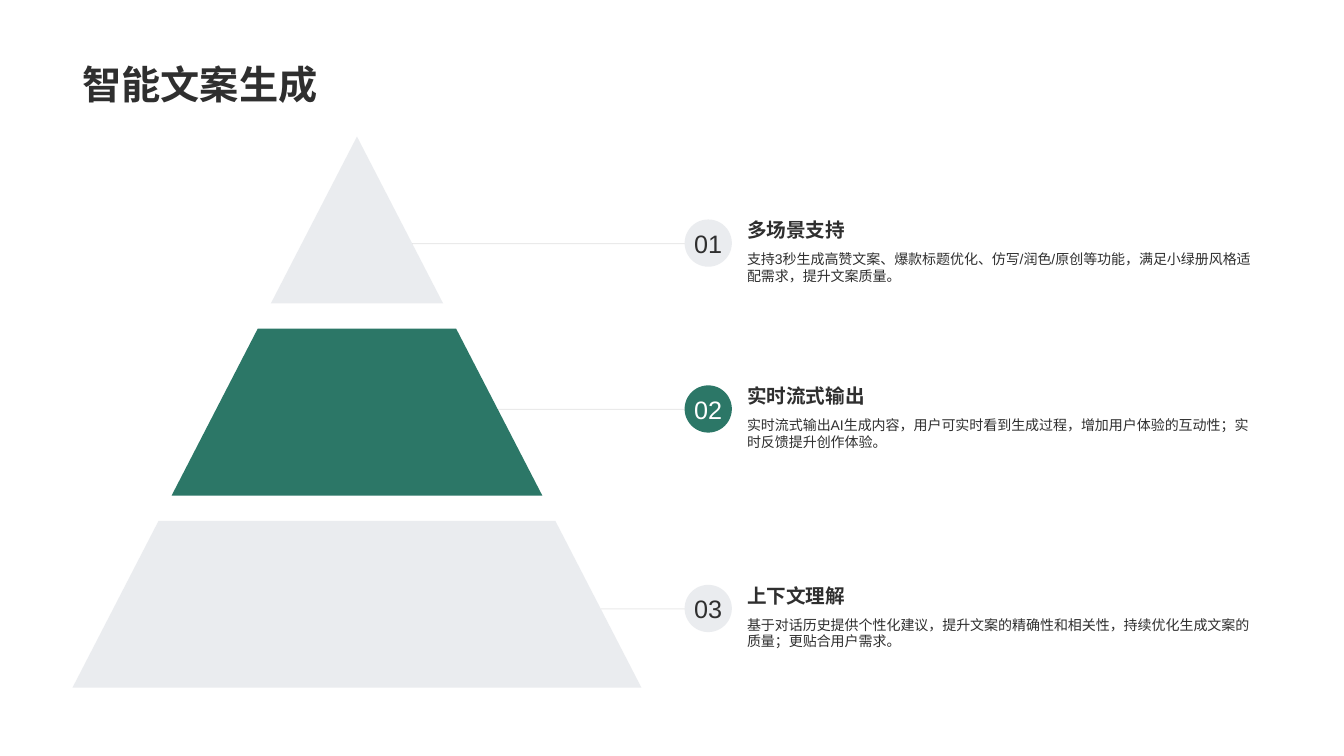
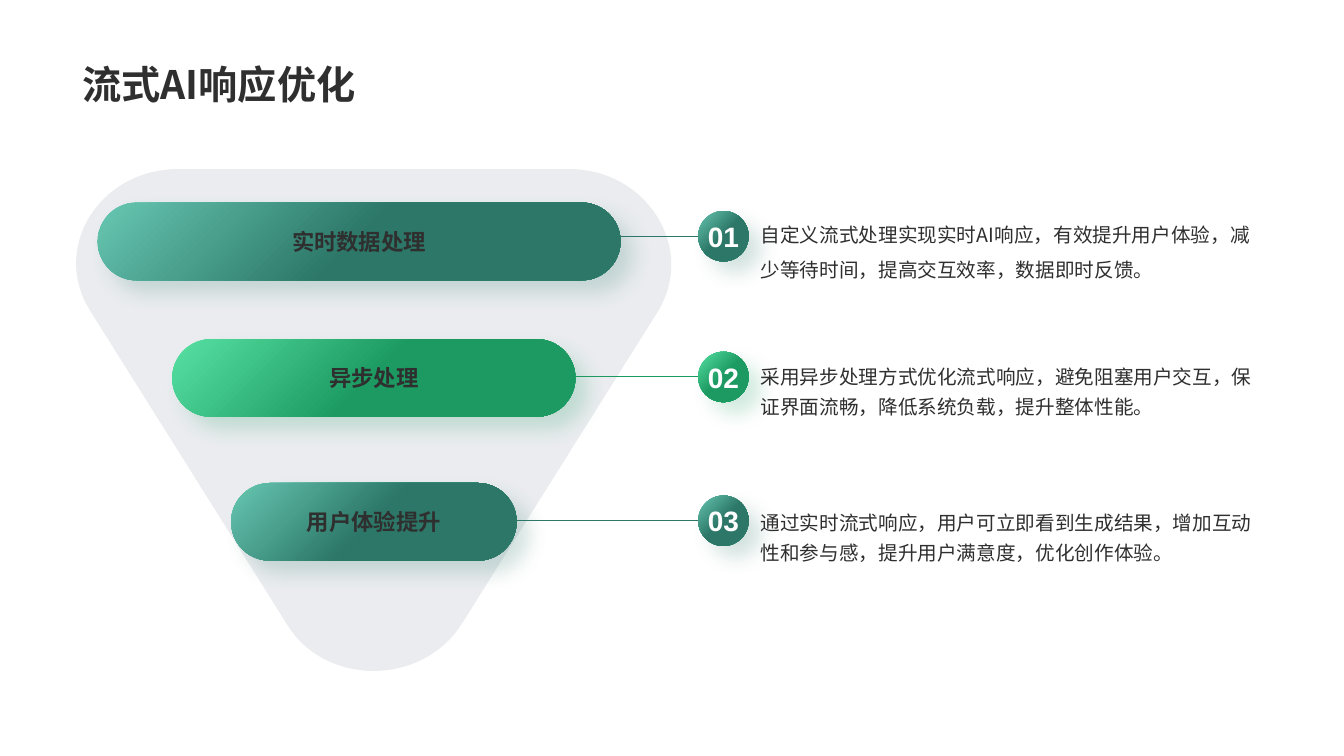
from lxml import etree
from pptx import Presentation
from pptx.dml.color import RGBColor
from pptx.enum.shapes import MSO_CONNECTOR, MSO_SHAPE
from pptx.enum.text import MSO_ANCHOR, MSO_AUTO_SIZE, PP_ALIGN
from pptx.oxml.ns import qn
from pptx.util import Emu, Pt

PX = 9525
STRAIGHT = MSO_CONNECTOR.STRAIGHT
OVAL, PILL = MSO_SHAPE.OVAL, MSO_SHAPE.ROUNDED_RECTANGLE
MIDDLE, BOTTOM = MSO_ANCHOR.MIDDLE, MSO_ANCHOR.BOTTOM
LEFT, CENTER = PP_ALIGN.LEFT, PP_ALIGN.CENTER
NO_FIT, GROW = MSO_AUTO_SIZE.NONE, MSO_AUTO_SIZE.SHAPE_TO_FIT_TEXT
CJK_FONT, LATIN_FONT = "Noto Sans CJK SC", "Arial"
COLORS = {
    "ink": "2F2F2F",
    "white": "FFFFFF",
    "mist": "778495",
    "line": "979797",
    "teal": "2C7767",
    "teal_light": "67C7B2",
    "green": "1C9A62",
    "green_light": "58E1A4",
}
MIST_ALPHA, LINE_ALPHA = 15, 20
TITLE_BOX = (69, 0, 1140, 108)

PYRAMID_BOX = (69, 130, 542, 525)
TIER_HEIGHT, TIER_PITCH = 159, 183
TIERS = [
    (209, "多场景支持",
     "支持3秒生成高赞文案、爆款标题优化、仿写/润色/原创等功能，满足小绿册风格适配需求，提升文案质量。"),
    (367, "实时流式输出",
     "实时流式输出AI生成内容，用户可实时看到生成过程，增加用户体验的互动性；实时反馈提升创作体验。"),
    (557, "上下文理解",
     "基于对话历史提供个性化建议，提升文案的精确性和相关性，持续优化生成文案的质量；更贴合用户需求。"),
]

FUNNEL_BOX = (73, 161, 567, 477)
STAGES = [
    ("实时数据处理", "teal", (93, 193, 498, 74), 201, -5, 1.5,
     "自定义流式处理实现实时AI响应，有效提升用户体验，减少等待时间，提高交互效率，数据即时反馈。"),
    ("异步处理", "green", (164, 323, 384, 74), 335, 1, 1.3,
     "采用异步处理方式优化流式响应，避免阻塞用户交互，保证界面流畅，降低系统负载，提升整体性能。"),
    ("用户体验提升", "teal", (220, 460, 272, 74), 472, 3, 1.3,
     "通过实时流式响应，用户可立即看到生成结果，增加互动性和参与感，提升用户满意度，优化创作体验。"),
]


def emu(*lengths):
    return [Emu(round(length * PX)) for length in lengths]


def rgb(color):
    return RGBColor.from_string(COLORS[color])


def set_alpha(element, percent):
    color = next(element.iter(qn("a:srgbClr")))
    etree.SubElement(color, qn("a:alpha"), val=str(percent * 1000))


def set_text(frame, text, size, color="ink", font=LATIN_FONT, bold=False,
             align=LEFT, spacing=None):
    frame.text = text
    paragraph = frame.paragraphs[0]
    paragraph.alignment = align
    if spacing:
        paragraph.line_spacing = spacing
    run = paragraph.runs[0]
    run.font.name = font
    run.font.size = Pt(size)
    run.font.bold = bold
    run.font.color.rgb = rgb(color)
    etree.SubElement(run._r.get_or_add_rPr(), qn("a:ea"), typeface=CJK_FONT)


def add_text(slide, box, text, size, **style):
    text_box = slide.shapes.add_textbox(*emu(*box))
    frame = text_box.text_frame
    frame.word_wrap = True
    frame.auto_size = GROW
    set_text(frame, text, size, **style)


def fill_plain(shape, color, alpha=None):
    shape.shadow.inherit = False
    shape.line.fill.background()
    shape.fill.solid()
    shape.fill.fore_color.rgb = rgb(color)
    if alpha:
        set_alpha(shape._element.spPr, alpha)


def fill_glow(shape, color):
    shape.shadow.inherit = False
    shape.line.fill.background()
    shape.fill.gradient()
    shape.fill.gradient_angle = 315
    stops = shape.fill.gradient_stops
    for stop, name, position in zip(stops, (color + "_light", color), (0, 0.5)):
        stop.color.rgb = rgb(name)
        stop.position = position
    effects = shape._element.spPr.find(qn("a:effectLst"))
    shadow = etree.SubElement(
        effects, qn("a:outerShdw"), blurRad=str(Pt(14)), dist=str(Pt(12)),
        dir=str(45 * 60000), algn="tl", rotWithShape="0")
    etree.SubElement(shadow, qn("a:srgbClr"), val=COLORS[color])
    set_alpha(shadow, 20)


def add_polygon(slide, points, color, alpha=None):
    start, *rest = [emu(*point) for point in points]
    builder = slide.shapes.build_freeform(*start)
    builder.add_line_segments(rest, close=True)
    fill_plain(builder.convert_to_shape(), color, alpha)


def add_line(slide, start, end, color, alpha=None, oval_end=False):
    line = slide.shapes.add_connector(STRAIGHT, *emu(*start, *end))
    line.line.width = Pt(0.75)
    line.line.color.rgb = rgb(color)
    properties = line._element.spPr
    if alpha:
        set_alpha(properties, alpha)
    if oval_end:
        etree.SubElement(properties.find(qn("a:ln")), qn("a:tailEnd"), type="oval")
    etree.SubElement(properties, qn("a:effectLst"))


def add_badge(slide, left, top, size, number, text_size, color, bold=False):
    badge = slide.shapes.add_shape(OVAL, *emu(left, top, size, size))
    frame = badge.text_frame
    frame.margin_left = frame.margin_right = 0
    frame.margin_top = frame.margin_bottom = 0
    frame.word_wrap = False
    frame.vertical_anchor = MIDDLE
    set_text(frame, f"{number:02d}", text_size, color, bold=bold, align=CENTER)
    return badge


def add_titled_slide(presentation, text):
    slide = presentation.slides.add_slide(presentation.slide_layouts[5])
    title = slide.shapes.title
    title.left, title.top, title.width, title.height = emu(*TITLE_BOX)
    frame = title.text_frame
    frame.auto_size = NO_FIT
    frame.vertical_anchor = BOTTOM
    set_text(frame, text, 28, font=CJK_FONT, bold=True, spacing=0.9)
    return slide


def pyramid_edge(box, y, side):
    left, top, width, height = box
    return left + width / 2 + side * (y - top) * width / height / 2


def add_tier(slide, box, index, color, alpha):
    top = box[1] + index * TIER_PITCH
    bottom = top + TIER_HEIGHT
    corners = [(-1, top), (1, top), (1, bottom), (-1, bottom)]
    if index == 0:
        corners = corners[1:]
    points = [(pyramid_edge(box, y, side), y) for side, y in corners]
    add_polygon(slide, points, color, alpha)


def add_tier_note(slide, left, top, number, heading, body, color, alpha):
    badge = add_badge(slide, left, top, 45, number, 18, "ink" if alpha else "white")
    fill_plain(badge, color, alpha)
    add_text(slide, (left + 50, top - 6, 508, 33), heading, 14, bold=True)
    add_text(slide, (left + 50, top + 25, 508, 42), body, 10)


def build_pyramid_slide(presentation):
    slide = add_titled_slide(presentation, "智能文案生成")
    note_left = 652
    for index, (top, heading, body) in enumerate(TIERS):
        color, alpha = ("teal", None) if index == 1 else ("mist", MIST_ALPHA)
        add_tier(slide, PYRAMID_BOX, index, color, alpha)
        y = top + 23
        add_line(slide, (note_left, y), (pyramid_edge(PYRAMID_BOX, y, 1), y),
                 "line", LINE_ALPHA)
        add_tier_note(slide, note_left, top, index + 1, heading, body, color, alpha)


def bezier(start, first, second, end, steps=32):
    points = []
    for step in range(steps + 1):
        t = step / steps
        weights = ((1 - t) ** 3, 3 * t * (1 - t) ** 2, 3 * t * t * (1 - t), t ** 3)
        corners = (start, first, second, end)
        points.append(tuple(sum(w * c[axis] for w, c in zip(weights, corners))
                            for axis in (0, 1)))
    return points


def add_funnel(slide, box):
    left, top, width, _ = box
    right_corner = bezier((469, 0), (543, 0), (590, 75), (554, 135))
    half_tip = bezier((367, 433), (329, 493), (236, 493), (200, 433))
    left_corner = bezier((13, 135), (-25, 75), (22, 0), (97, 0))
    points = right_corner + half_tip + left_corner
    add_polygon(slide, [(left + x, top + y) for x, y in points], "mist", MIST_ALPHA)


def add_stage(slide, number, label, color, pill_box, badge_top, text_shift,
              spacing, body):
    badge_left, badge_size = 665, 48
    pill = slide.shapes.add_shape(PILL, *emu(*pill_box))
    pill.adjustments[0] = 0.5
    fill_glow(pill, color)
    pill.text_frame.vertical_anchor = MIDDLE
    set_text(pill.text_frame, label, 16, font=CJK_FONT, bold=True, align=CENTER)
    y = badge_top + badge_size / 2
    add_line(slide, (badge_left, y), (pill_box[0] + pill_box[2] - 13, y), color,
             oval_end=True)
    badge = add_badge(slide, badge_left, badge_top, badge_size, number, 20,
                      "white", bold=True)
    fill_glow(badge, color)
    add_text(slide, (badge_left + 50, badge_top + text_shift, 498, 48), body, 14,
             font=CJK_FONT, spacing=spacing)


def build_funnel_slide(presentation):
    slide = add_titled_slide(presentation, "流式AI响应优化")
    add_funnel(slide, FUNNEL_BOX)
    for number, stage in enumerate(STAGES, 1):
        add_stage(slide, number, *stage)


def main():
    presentation = Presentation()
    presentation.slide_width, presentation.slide_height = emu(1280, 720)
    build_pyramid_slide(presentation)
    build_funnel_slide(presentation)
    presentation.save("out.pptx")


if __name__ == "__main__":
    main()
